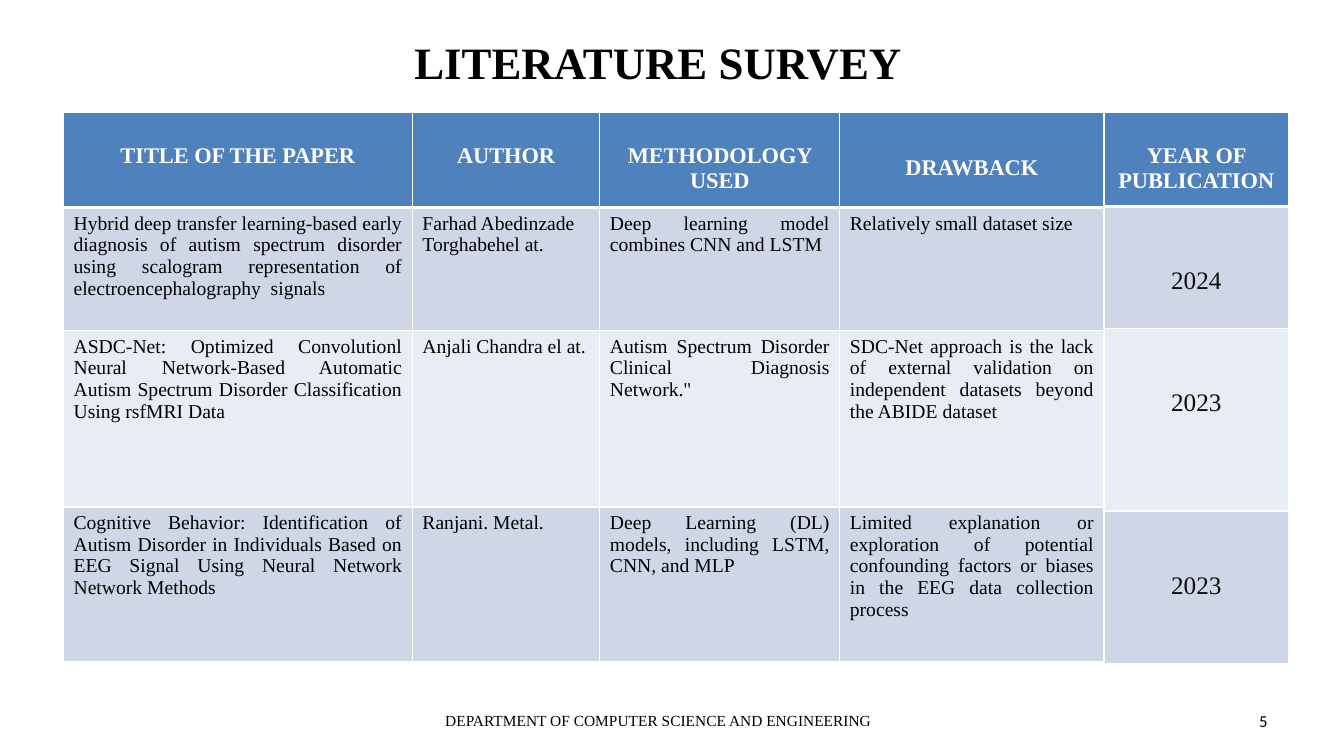
from dataclasses import dataclass

from lxml import etree
from pptx import Presentation
from pptx import util as u
from pptx.dml.color import RGBColor
from pptx.enum import text
from pptx.oxml.ns import qn

PX = 9144  # 100 px to the inch
AL = text.PP_ALIGN


@dataclass(frozen=True)
class Theme:
    serif: str = "Times New Roman"
    sans: str = "Calibri"
    black: str = "000000"
    year: str = "0D0D0D"
    white: str = "FFFFFF"
    header: str = "4F81BD"
    bands: tuple = ("CFD7E7", "E8ECF4")
    title_size: int = 32
    header_size: int = 16
    body_size: int = 14
    year_size: int = 18
    footer_size: int = 11
    number_size: int = 12


def write(tf, content, *, font, size, color, bold=False, align=AL.LEFT, spacing=None):
    """Fill a text frame, one paragraph for each line of content."""
    tf.word_wrap = True
    for i, line in enumerate(content.split("\n")):
        p = tf.add_paragraph() if i else tf.paragraphs[0]
        p.alignment = align
        if spacing:
            p.line_spacing = spacing
        r = p.add_run()
        r.text = line
        r.font.name, r.font.size, r.font.bold = font, u.Pt(size), bold
        r.font.color.rgb = RGBColor.from_string(color)


class Deck:
    def __init__(self, theme):
        self.theme = theme
        self.prs = Presentation()
        self.prs.slide_width, self.prs.slide_height = 1333 * PX, 750 * PX
        self.s = self.prs.slides.add_slide(self.prs.slide_layouts[6])

    def label(self, x, y, w, h, content, indent=10, **style):
        sp = self.s.shapes.add_textbox(x * PX, y * PX, w * PX, h * PX)
        tf = sp.text_frame
        tf.vertical_anchor = text.MSO_ANCHOR.MIDDLE
        tf.margin_left = indent * PX
        write(tf, content, **style)

    def borders(self, cell, top, bottom):
        """Give a cell white edges; top and bottom are widths in points."""
        tcPr = cell._tc.get_or_add_tcPr()
        edges = (("a:lnL", 1), ("a:lnR", 1), ("a:lnT", top), ("a:lnB", bottom))
        for i, (tag, width) in enumerate(edges):
            ln = etree.Element(qn(tag), w=str(u.Pt(width)))
            fill = etree.SubElement(ln, qn("a:solidFill"))
            etree.SubElement(fill, qn("a:srgbClr"), val=self.theme.white)
            tcPr.insert(i, ln)

    def table(self, x, y, widths, heights, rows, body, spacings):
        """Add a header row and banded body rows; spacings are for the header."""
        t = self.theme
        head = dict(font=t.serif, size=t.header_size, color=t.white,
                    bold=True, align=AL.CENTER)
        table = self.s.shapes.add_table(
            len(rows), len(widths), x * PX, y * PX,
            sum(widths) * PX, sum(heights) * PX).table
        for column, width in zip(table.columns, widths):
            column.width = width * PX
        for i, (row, height) in enumerate(zip(rows, heights)):
            table.rows[i].height = height * PX
            for j, content in enumerate(row):
                cell = table.cell(i, j)
                cell.fill.solid()
                color = t.bands[(i - 1) % 2] if i else t.header
                cell.fill.fore_color.rgb = RGBColor.from_string(color)
                self.borders(cell, top=3 if i == 1 else 1, bottom=1 if i else 3)
                if i:
                    write(cell.text_frame, content, **body)
                else:
                    cell.margin_top = (5 if spacings[j] else 30) * PX
                    write(cell.text_frame, content, spacing=spacings[j], **head)


PAPERS = [
    ("TITLE OF THE PAPER", "AUTHOR", "METHODOLOGY USED", "DRAWBACK"),
    ("Hybrid deep transfer learning-based early diagnosis of autism spectrum "
     "disorder using scalogram representation of electroencephalography  signals",
     "Farhad Abedinzade\nTorghabehel at.",
     "Deep learning model combines CNN and LSTM",
     "Relatively small dataset size"),
    ("ASDC-Net: Optimized Convolutionl Neural Network-Based Automatic "
     "Autism Spectrum Disorder Classification Using rsfMRI Data",
     "Anjali Chandra el at.",
     "Autism Spectrum Disorder Clinical Diagnosis Network.\"",
     "SDC-Net approach is the lack of external validation on independent "
     "datasets beyond the ABIDE dataset"),
    ("Cognitive Behavior: Identification of Autism Disorder in Individuals "
     "Based on EEG Signal Using Neural Network Network Methods",
     "Ranjani. Metal.",
     "Deep Learning (DL) models, including LSTM, CNN, and MLP",
     "Limited explanation or exploration of potential confounding factors or "
     "biases in the EEG data collection process"),
]
YEARS = [("YEAR OF PUBLICATION",), ("2024",), ("2023",), ("2023",)]


def main():
    t = Theme()
    deck = Deck(t)
    deck.label(67, 25, 1200, 79, "LITERATURE SURVEY", indent=344, font=t.serif,
               size=t.title_size, color=t.black, bold=True, spacing=0.9)
    deck.table(63, 112, (346, 186, 238, 262), (94, 122, 175, 153), PAPERS,
               dict(font=t.serif, size=t.body_size, color=t.black,
                    align=AL.JUSTIFY),
               spacings=(None, None, None, 2.5))
    deck.table(1095, 112, (183,), (93, 121, 181, 151), YEARS,
               dict(font=t.serif, size=t.year_size, color=t.year,
                    align=AL.CENTER, spacing=3.0),
               spacings=(None,))
    deck.label(382, 695, 542, 40, "DEPARTMENT OF COMPUTER SCIENCE AND ENGINEERING",
               font=t.serif, size=t.footer_size, color=t.black, align=AL.CENTER)
    deck.label(956, 695, 311, 40, "5", font=t.sans, size=t.number_size,
               color=t.black, align=AL.RIGHT)
    deck.prs.save("out.pptx")


if __name__ == "__main__":
    main()
